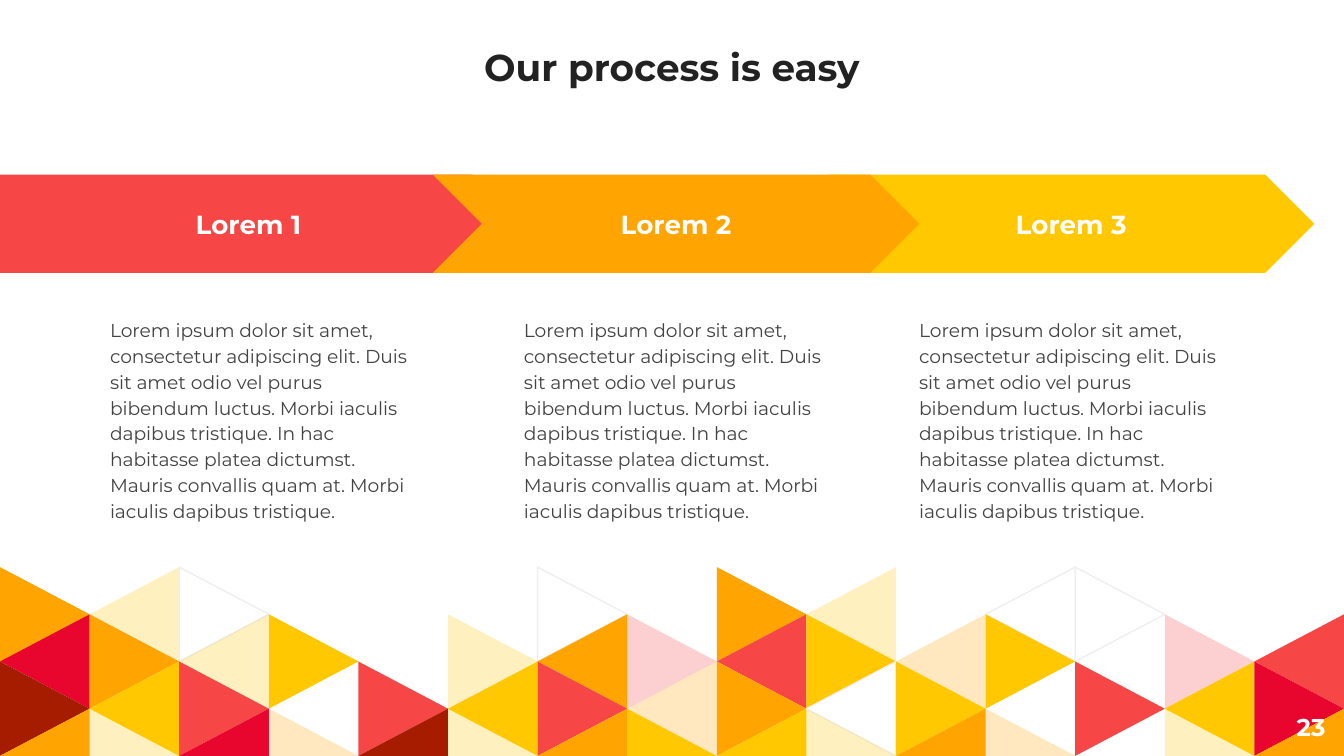
from typing import NamedTuple

from lxml import etree
from pptx import Presentation
from pptx.dml.color import RGBColor
from pptx.enum.shapes import MSO_SHAPE
from pptx.enum.text import MSO_ANCHOR, MSO_AUTO_SIZE, PP_ALIGN
from pptx.oxml.ns import qn
from pptx.util import Inches, Pt

PENTAGON, CHEVRON = MSO_SHAPE.PENTAGON, MSO_SHAPE.CHEVRON
LEFT, CENTER, RIGHT = PP_ALIGN.LEFT, PP_ALIGN.CENTER, PP_ALIGN.RIGHT
TOP, MIDDLE, BOTTOM = MSO_ANCHOR.TOP, MSO_ANCHOR.MIDDLE, MSO_ANCHOR.BOTTOM
NO_FIT = MSO_AUTO_SIZE.NONE

FONT = "Montserrat"
COLORS = {
    "title": "222222", "body": "434343", "white": "FFFFFF", "outline": "EFEFEF",
    "orange": "FFA400", "yellow": "FFC800", "red": "F64646",
    "crimson": "E8062F", "brown": "A61C00",
}
SLIDE_W = 10
SLIDE_H = SLIDE_W * 9 / 16

# One letter per triangle: capital = solid, small = 25 % tint, W = outlined, dot = none
MOSAIC = (
    "OyW...W.Oy.WW..",
    "COyY.yOrRYoY.rR",
    "BYR.RYRoOWY.RYC",
    "OyCoByOYYyOo.yO",
)
MOSAIC_KEY = {"O": "orange", "Y": "yellow", "R": "red",
              "C": "crimson", "B": "brown", "W": "white"}
MOSAIC_TOP = 4.22
ROW_H = (SLIDE_H - MOSAIC_TOP) / len(MOSAIC)
COL_W = SLIDE_W / len(MOSAIC[0])

BODY = ("Lorem ipsum dolor sit amet, consectetur adipiscing elit. Duis sit amet odio "
        "vel purus bibendum luctus. Morbi iaculis dapibus tristique. In hac habitasse "
        "platea dictumst. Mauris convallis quam at. Morbi iaculis dapibus tristique.")


class Step(NamedTuple):
    label: str
    shape: MSO_SHAPE
    left: float
    width: float
    text_left: float
    color: str


# Back to front: the second arrow overlaps both neighbours
STEPS = (
    Step("Lorem 3", CHEVRON, 6.16, 3.62, 6.74, "yellow"),
    Step("Lorem 1", PENTAGON, 0, 3.88, 0.72, "red"),
    Step("Lorem 2", CHEVRON, 3.22, 3.62, 3.8, "orange"),
)


def rgb(name: str) -> RGBColor:
    return RGBColor.from_string(COLORS[name])


def paint(sp, color: str, outline: bool = False, alpha: int = 100) -> None:
    sp.shadow.inherit = False
    sp.fill.solid()
    sp.fill.fore_color.rgb = rgb(color)
    if alpha < 100:
        clr = sp.fill._xPr.find(qn("a:solidFill"))[0]
        etree.SubElement(clr, qn("a:alpha")).set("val", str(alpha * 1000))
    if outline:
        sp.line.color.rgb = rgb("outline")
        sp.line.width = Pt(0.75)
    else:
        sp.line.fill.background()


def write(sp, text: str, size: float, color: str, bold: bool = True, align=CENTER,
          anchor=MIDDLE, spacing: float = 1.0) -> None:
    tf = sp.text_frame
    tf.word_wrap = True
    tf.auto_size = NO_FIT
    tf.vertical_anchor = anchor
    tf.margin_left = tf.margin_right = tf.margin_top = tf.margin_bottom = Inches(0.1)
    p = tf.paragraphs[0]
    p.alignment = align
    p.line_spacing = spacing
    r = p.add_run()
    r.text = text
    r.font.name = FONT
    r.font.size = Pt(size)
    r.font.bold = bold
    r.font.color.rgb = rgb(color)


def add_triangle(shapes, row: int, col: int, letter: str) -> None:
    """Point right on even cells and left on odd ones; cut the last row in half."""
    base, tip = (col, col + 1) if (row + col) % 2 == 0 else (col + 1, col)
    bottom = min(row + 2, len(MOSAIC))
    corners = [(base, row), (tip, row + 1), (base, bottom)]
    points = [(Inches(x * COL_W), Inches(MOSAIC_TOP + y * ROW_H)) for x, y in corners]
    builder = shapes.build_freeform(*points[0])
    builder.add_line_segments(points[1:], close=True)
    paint(builder.convert_to_shape(), MOSAIC_KEY[letter.upper()],
          outline=letter == "W", alpha=25 if letter.islower() else 100)


def add_mosaic(slide) -> None:
    group = slide.shapes.add_group_shape()
    for row, letters in enumerate(MOSAIC):
        for col, letter in enumerate(letters):
            if letter != ".":
                add_triangle(group.shapes, row, col, letter)


def add_step(slide, step: Step) -> None:
    group = slide.shapes.add_group_shape()
    arrow = group.shapes.add_shape(step.shape, Inches(step.left), Inches(1.3),
                                   Inches(step.width), Inches(0.73))
    paint(arrow, step.color)
    write(arrow, step.label, 14, "white")
    box = group.shapes.add_textbox(Inches(step.text_left), Inches(2.25),
                                   Inches(2.45), Inches(2.86))
    write(box, BODY, 10, "body", bold=False, align=LEFT, anchor=TOP, spacing=1.15)


def main() -> None:
    prs = Presentation()
    prs.slide_width, prs.slide_height = Inches(SLIDE_W), Inches(SLIDE_H)
    slide = prs.slides.add_slide(prs.slide_layouts[5])
    add_mosaic(slide)

    title = slide.shapes.title
    title.left, title.top = Inches(0), Inches(0)
    title.width, title.height = Inches(SLIDE_W), Inches(0.76)
    write(title, "Our process is easy", 20, "title", anchor=BOTTOM)

    number = slide.shapes.add_textbox(Inches(9.36), Inches(5.19), Inches(0.6), Inches(0.43))
    write(number, "23", 13, "white", align=RIGHT)

    for step in STEPS:
        add_step(slide, step)
    prs.save("out.pptx")


if __name__ == "__main__":
    main()
